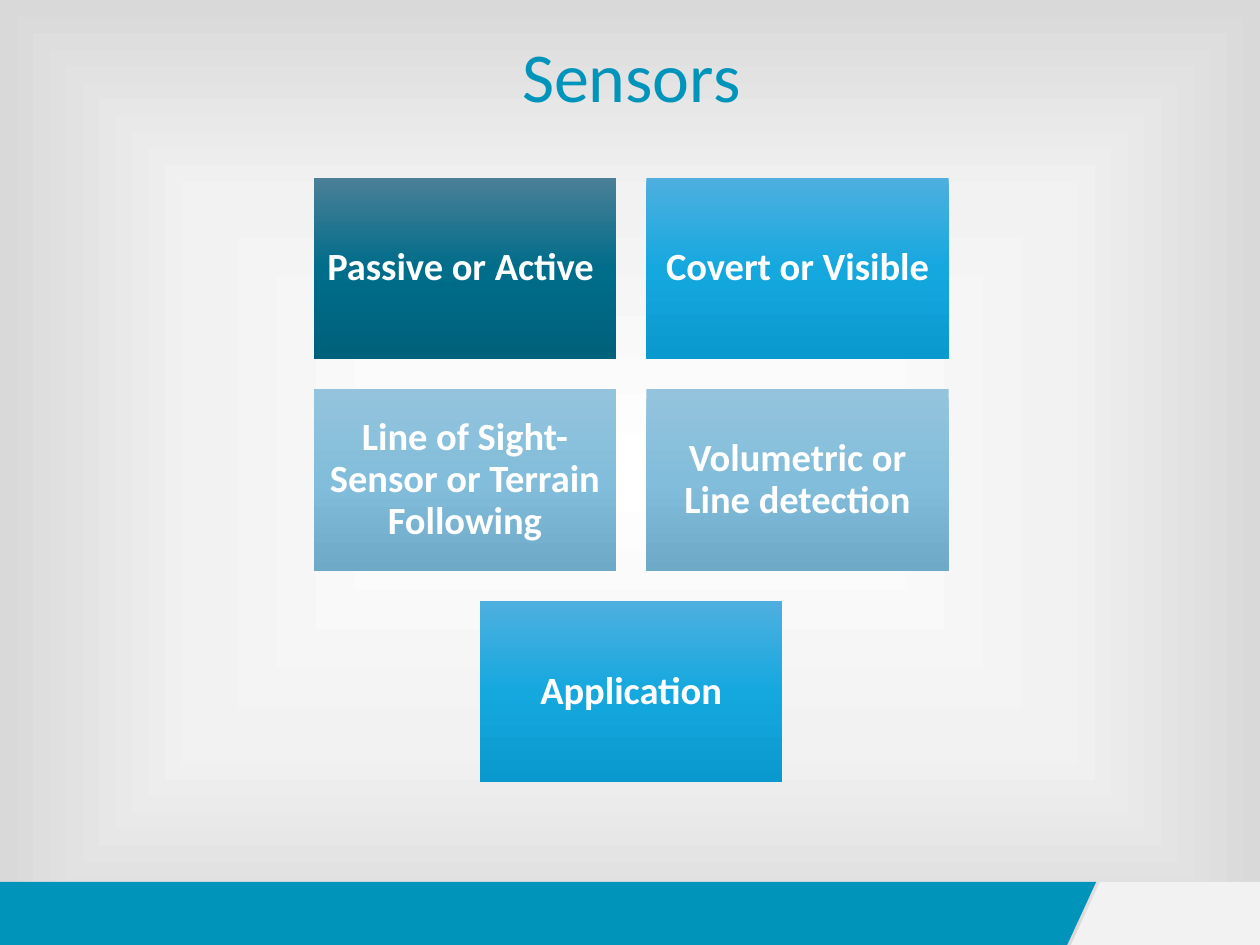
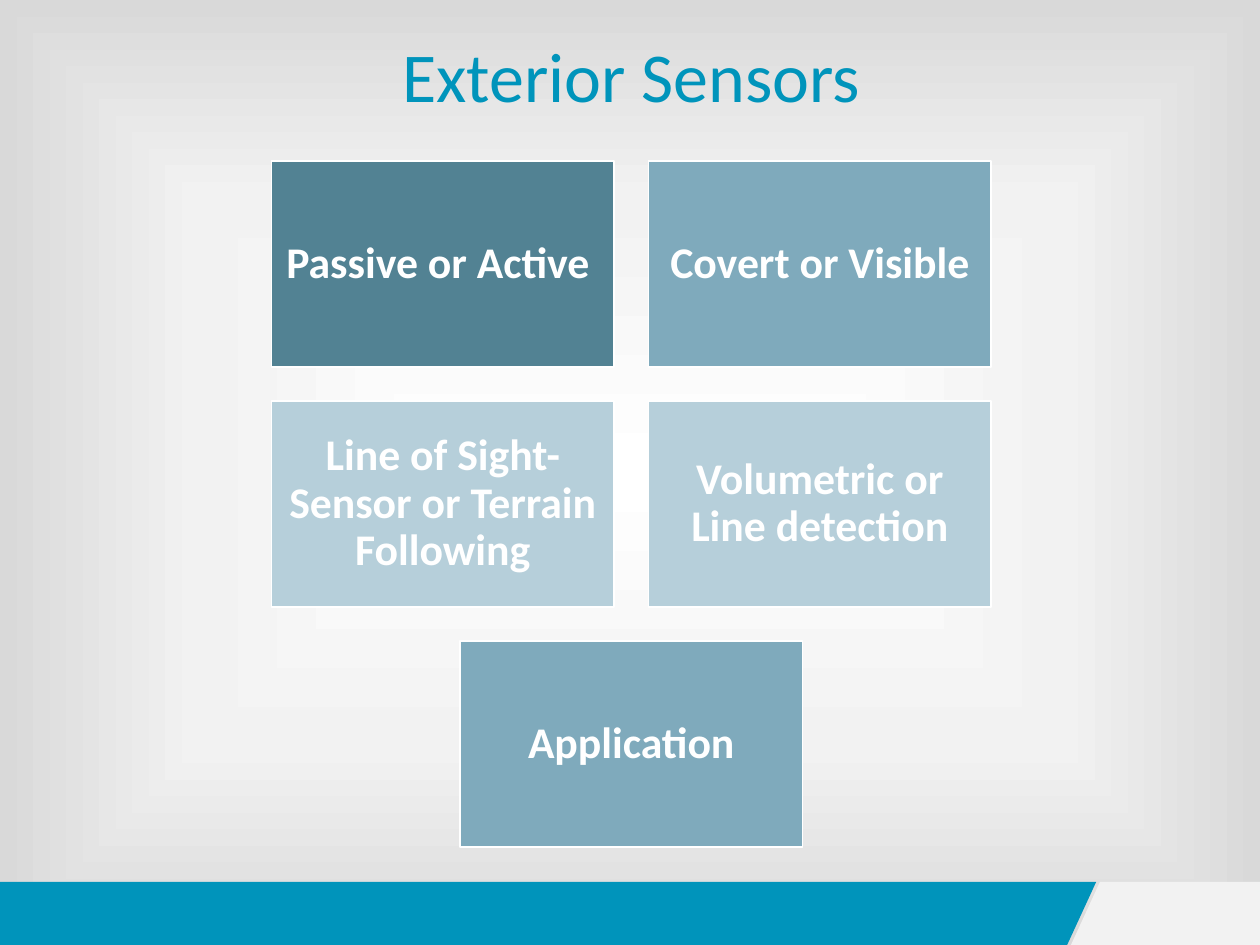
from lxml import etree
from pptx import Presentation
from pptx.dml.color import RGBColor
from pptx.enum import shapes, text
from pptx.oxml import ns
from pptx.util import Inches, Pt

# Shared style
FONT = "Calibri"
TEAL, PALE, WHITE = "0094BB", "F2F2F2", "FFFFFF"
BACKDROP = [(0, WHITE), (58, PALE), (100, "D9D9D9")]
GRID_CENTER = 5.01

# Both slides show the same five sensor traits
TRAITS = [
    "Passive or Active ",
    "Covert or Visible",
    "Line of Sight-Sensor or Terrain Following",
    "Volumetric or Line detection",
    "Application",
]

# Tile shades, from dark to light, and the shade of each trait
GLOSSY = [
    [(0, "4B7F97"), (50, "006D8A"), (100, "00617B")],
    [(0, "4EAFDF"), (50, "15A8DF"), (100, "0A99CE")],
    [(0, "94C4DD"), (50, "82BDDB"), (100, "6EAAC8")],
]
FLAT = ["528293", "7FAABC", "B6CFDA"]
TRAIT_SHADES = [0, 1, 2, 2, 1]


def color(hex_code):
    return RGBColor.from_string(hex_code)


def set_gradient(fill, parent, stops, from_center=False):
    """Fill with the stops, top to bottom or outwards from the centre."""
    fill.gradient()
    gradient = parent.find(".//" + ns.qn("a:gradFill"))
    for child in list(gradient):
        gradient.remove(child)
    stop_list = etree.SubElement(gradient, ns.qn("a:gsLst"))
    for percent, hex_code in stops:
        stop = etree.SubElement(stop_list, ns.qn("a:gs"), pos=str(percent * 1000))
        etree.SubElement(stop, ns.qn("a:srgbClr"), val=hex_code)
    if from_center:
        direction = etree.SubElement(gradient, ns.qn("a:path"), {"path": "rect"})
        etree.SubElement(direction, ns.qn("a:fillToRect"),
                         {side: "50000" for side in "ltrb"})
    else:
        etree.SubElement(gradient, ns.qn("a:lin"), ang="5400000", scaled="0")


def style_text(paragraph, size, hex_code, bold=False):
    paragraph.alignment = text.PP_ALIGN.CENTER
    font = paragraph.runs[0].font
    font.name, font.size, font.bold = FONT, Pt(size), bold
    font.color.rgb = color(hex_code)


def add_band(slide, corners, hex_code):
    points = [(Inches(x), Inches(y)) for x, y in corners]
    outline = slide.shapes.build_freeform(*points[0])
    outline.add_line_segments(points[1:], close=True)
    band = outline.convert_to_shape()
    band.shadow.inherit = False
    band.fill.solid()
    band.fill.fore_color.rgb = color(hex_code)
    band.line.fill.background()


def add_title(slide, wording):
    title = slide.shapes.add_textbox(Inches(0.76), Inches(0.21), Inches(8.5), Inches(0.87))
    title.text_frame.word_wrap = True
    title.text_frame.text = wording
    style_text(title.text_frame.paragraphs[0], 40, TEAL)


def add_tile(slide, left, top, width, height, trait, shade, size, inset):
    tile = slide.shapes.add_shape(shapes.MSO_SHAPE.RECTANGLE, Inches(left), Inches(top),
                                  Inches(width), Inches(height))
    tile.shadow.inherit = False
    if isinstance(shade, str):
        tile.fill.solid()
        tile.fill.fore_color.rgb = color(shade)
        tile.line.color.rgb = color(WHITE)
        tile.line.width = Pt(1)
    else:
        set_gradient(tile.fill, tile.element.spPr, shade)
        tile.line.fill.background()
    frame = tile.text_frame
    frame.word_wrap = True
    frame.vertical_anchor = text.MSO_ANCHOR.MIDDLE
    frame.margin_left = frame.margin_right = Inches(inset)
    frame.margin_top = frame.margin_bottom = Inches(inset)
    frame.text = trait
    frame.paragraphs[0].line_spacing = 0.9
    style_text(frame.paragraphs[0], size, WHITE, bold=True)


def add_trait_grid(slide, top, width, shades, size, inset):
    """Two tiles a row, the last one centred; sizes follow the tile width."""
    height, gap = 0.6 * width, 0.1 * width
    for i, trait in enumerate(TRAITS):
        row, column = divmod(i, 2)
        in_row = min(2, len(TRAITS) - 2 * row)
        row_width = in_row * width + (in_row - 1) * gap
        left = GRID_CENTER - row_width / 2 + column * (width + gap)
        add_tile(slide, left, top + row * (height + gap), width, height,
                 trait, shades[TRAIT_SHADES[i]], size, inset)


def add_sensor_slide(prs, title, **grid):
    slide = prs.slides.add_slide(prs.slide_layouts[6])
    # Backdrop and footer bands
    set_gradient(slide.background.fill, slide.element, BACKDROP, from_center=True)
    add_band(slide, [(0, 7), (8.7, 7), (8.47, 7.5), (0, 7.5)], TEAL)
    add_band(slide, [(8.73, 7), (10, 7), (10, 7.5), (8.5, 7.5)], PALE)
    # Content
    add_trait_grid(slide, **grid)
    add_title(slide, title)


def main():
    prs = Presentation()
    prs.slide_width, prs.slide_height = Inches(10), Inches(7.5)
    add_sensor_slide(prs, "Sensors", top=1.41, width=2.4, shades=GLOSSY, size=22, inset=0.09)
    add_sensor_slide(prs, "Exterior Sensors", top=1.28, width=2.72, shades=FLAT, size=25,
                     inset=0.1)
    prs.save("out.pptx")


if __name__ == "__main__":
    main()
